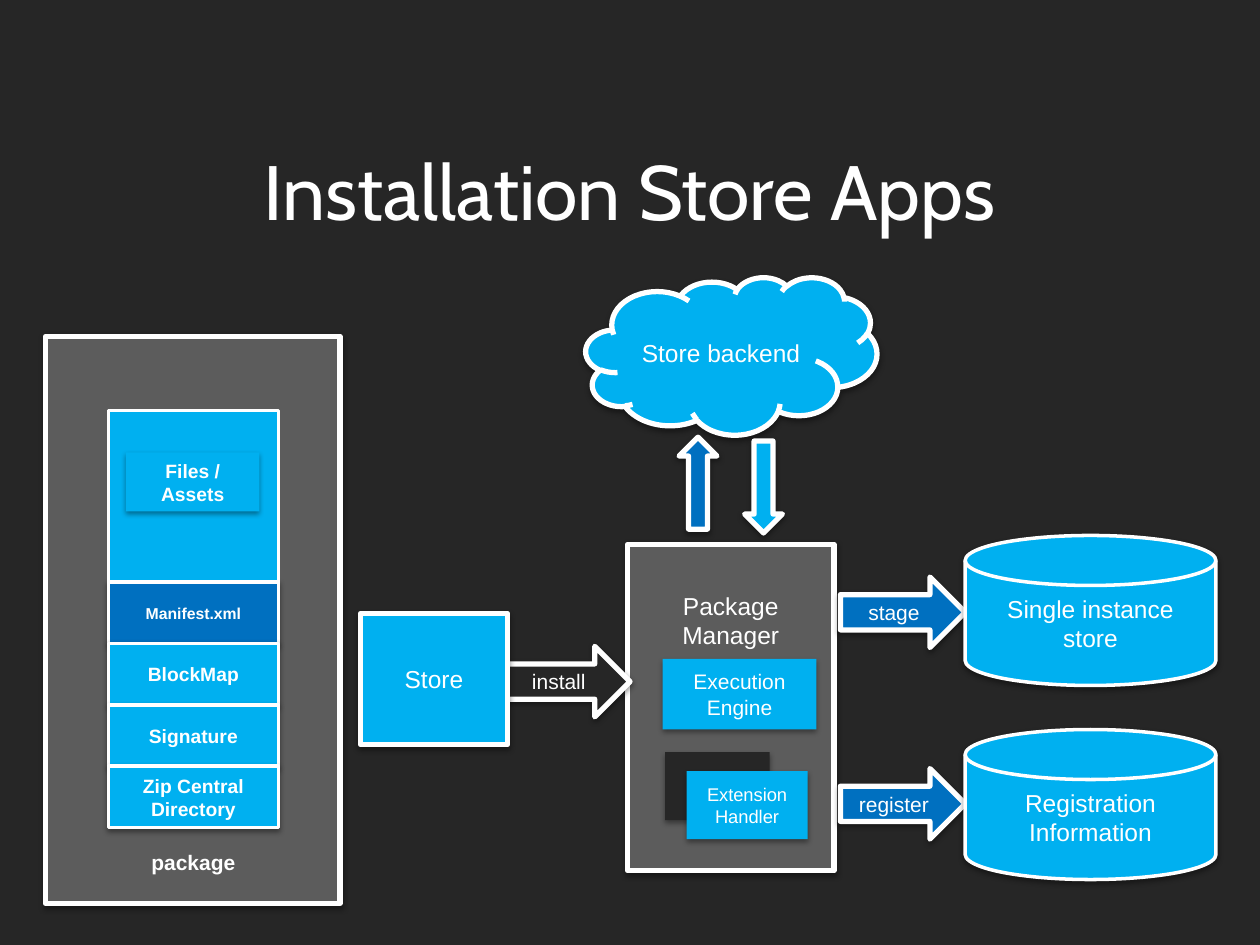
import pptx
import pptx.util
import pptx.dml.color
import pptx.enum.shapes
import pptx.enum.text
import pptx.oxml
import pptx.oxml.ns

Inches, Pt = pptx.util.Inches, pptx.util.Pt
RGBColor = pptx.dml.color.RGBColor
SHAPE = pptx.enum.shapes.MSO_SHAPE
ANCHOR = pptx.enum.text.MSO_ANCHOR
CENTER = pptx.enum.text.PP_ALIGN.CENTER

DARK = RGBColor(0x26, 0x26, 0x26)
GRAY = RGBColor(0x5C, 0x5C, 0x5C)
SKY = RGBColor(0x00, 0xB0, 0xF0)
BLUE = RGBColor(0x00, 0x70, 0xC0)
WHITE = RGBColor(0xFF, 0xFF, 0xFF)

TITLE = "Installation Store Apps"

# Package stack: one tall block of files, then equal rows
STACK_LEFT, STACK_WIDTH = 0.86, 1.35
FILES_TOP, ROWS_TOP, ROW_HEIGHT = 3.26, 4.62, 0.487
STACK_ROWS = [
    ("Manifest.xml", 9, BLUE),
    ("BlockMap", 11, SKY),
    ("Signature", 11, SKY),
    ("Zip Central Directory", 11, SKY),
]

# Targets of the package manager: arrow label, arrow top, disk label, disk top
ARROW_SIZE, DISK_SIZE = (0.99, 0.56), (1.99, 1.19)
ARROW_LEFT = 6.67
DISK_LEFT = ARROW_LEFT + ARROW_SIZE[0]
TARGETS = [
    ("stage", 4.58, "Single instance store", 4.25),
    ("register", 6.1, "Registration Information", 5.79),
]

# Exchange with the backend: left, top, rotation, fill
EXCHANGE_SIZE = (0.3, 0.73)
EXCHANGES = [(5.39, 3.47, 0, BLUE), (5.91, 3.5, 180, SKY)]

SHADOW = (
    f'<a:effectLst {pptx.oxml.ns.nsdecls("a")}>'
    '<a:outerShdw blurRad="40000" dist="20000" dir="5400000" rotWithShape="0">'
    '<a:srgbClr val="000000"><a:alpha val="38000"/></a:srgbClr>'
    "</a:outerShdw></a:effectLst>"
)


def write(shape, text, size, bold=False, font="Arial", anchor=ANCHOR.MIDDLE):
    frame = shape.text_frame
    frame.word_wrap = True
    frame.vertical_anchor = anchor
    paragraph = frame.paragraphs[0]
    paragraph.text = text
    paragraph.alignment = CENTER
    paragraph.font.size = Pt(size)
    paragraph.font.bold = bold
    paragraph.font.name = font
    paragraph.font.color.rgb = WHITE


def add_box(shapes, kind, position, size, fill, line=3, text="", points=14,
            bold=False, shadow=True, anchor=ANCHOR.MIDDLE):
    """Add a filled preset shape; a line width of 0 means no outline."""
    shape = shapes.add_shape(kind, *map(Inches, position + size))
    shape.fill.solid()
    shape.fill.fore_color.rgb = fill
    if line:
        shape.line.color.rgb = WHITE
        shape.line.width = Pt(line)
    else:
        shape.line.fill.background()
    shape.shadow.inherit = False
    if shadow:
        properties = shape._element.spPr
        empty = properties.find(pptx.oxml.ns.qn("a:effectLst"))
        properties.replace(empty, pptx.oxml.parse_xml(SHADOW))
    if text:
        write(shape, text, points, bold, anchor=anchor)
    return shape


def add_installation(shapes):
    add_box(shapes, SHAPE.CLOUD, (4.65, 2.2), (2.31, 1.25), SKY, text="Store backend")
    manager = add_box(shapes, SHAPE.RECTANGLE, (4.98, 4.32), (1.64, 2.59), GRAY,
                      text="Package Manager", anchor=ANCHOR.TOP)
    manager.text_frame.margin_top = Inches(0.37)
    for left, top, rotation, fill in EXCHANGES:
        arrow = add_box(shapes, SHAPE.UP_ARROW, (left, top), EXCHANGE_SIZE, fill)
        arrow.rotation = rotation
    add_box(shapes, SHAPE.RIGHT_ARROW, (4.01, 5.13), ARROW_SIZE, DARK,
            text="install", points=12)
    add_box(shapes, SHAPE.RECTANGLE, (5.26, 5.23), (1.22, 0.56), SKY, 0,
            "Execution Engine", 12)
    add_box(shapes, SHAPE.RECTANGLE, (5.28, 5.97), (0.83, 0.54), DARK, 0)
    add_box(shapes, SHAPE.RECTANGLE, (5.45, 6.12), (0.96, 0.54), SKY, 0,
            "Extension Handler", 10.5)
    for action, arrow_top, target, disk_top in TARGETS:
        add_box(shapes, SHAPE.RIGHT_ARROW, (ARROW_LEFT, arrow_top), ARROW_SIZE, BLUE,
                text=action, points=12)
        add_box(shapes, SHAPE.FLOWCHART_MAGNETIC_DISK, (DISK_LEFT, disk_top),
                DISK_SIZE, SKY, 2, target)
    add_box(shapes, SHAPE.RECTANGLE, (2.86, 4.87), (1.17, 1.04), SKY, text="Store")


def add_package(shapes):
    add_box(shapes, SHAPE.RECTANGLE, (0.36, 2.67), (2.34, 4.5), GRAY)
    for index, (text, points, fill) in enumerate(STACK_ROWS):
        add_box(shapes, SHAPE.RECTANGLE, (STACK_LEFT, ROWS_TOP + index * ROW_HEIGHT),
                (STACK_WIDTH, ROW_HEIGHT), fill, 2, text, points, True)
    add_box(shapes, SHAPE.RECTANGLE, (STACK_LEFT, FILES_TOP),
            (STACK_WIDTH, ROWS_TOP - FILES_TOP), SKY, 2, shadow=False)
    add_box(shapes, SHAPE.RECTANGLE, (1, 3.59), (1.06, 0.47), SKY, 0,
            "Files / Assets", 11, True)
    caption = shapes.add_textbox(*map(Inches, (0.96, 6.74, 1.15, 0.2)))
    frame = caption.text_frame
    frame.margin_left = frame.margin_right = frame.margin_top = frame.margin_bottom = 0
    write(caption, "package", 12, True, anchor=ANCHOR.TOP)


def main():
    presentation = pptx.Presentation()
    presentation.slide_width, presentation.slide_height = Inches(10), Inches(7.5)
    slide = presentation.slides.add_slide(presentation.slide_layouts[6])
    slide.background.fill.solid()
    slide.background.fill.fore_color.rgb = DARK

    title = slide.shapes.add_textbox(*map(Inches, (0.5, 1.09, 9, 1.25)))
    write(title, TITLE, 44, font="Cabin", anchor=ANCHOR.TOP)
    add_installation(slide.shapes.add_group_shape().shapes)
    add_package(slide.shapes.add_group_shape().shapes)
    presentation.save("out.pptx")


if __name__ == "__main__":
    main()
